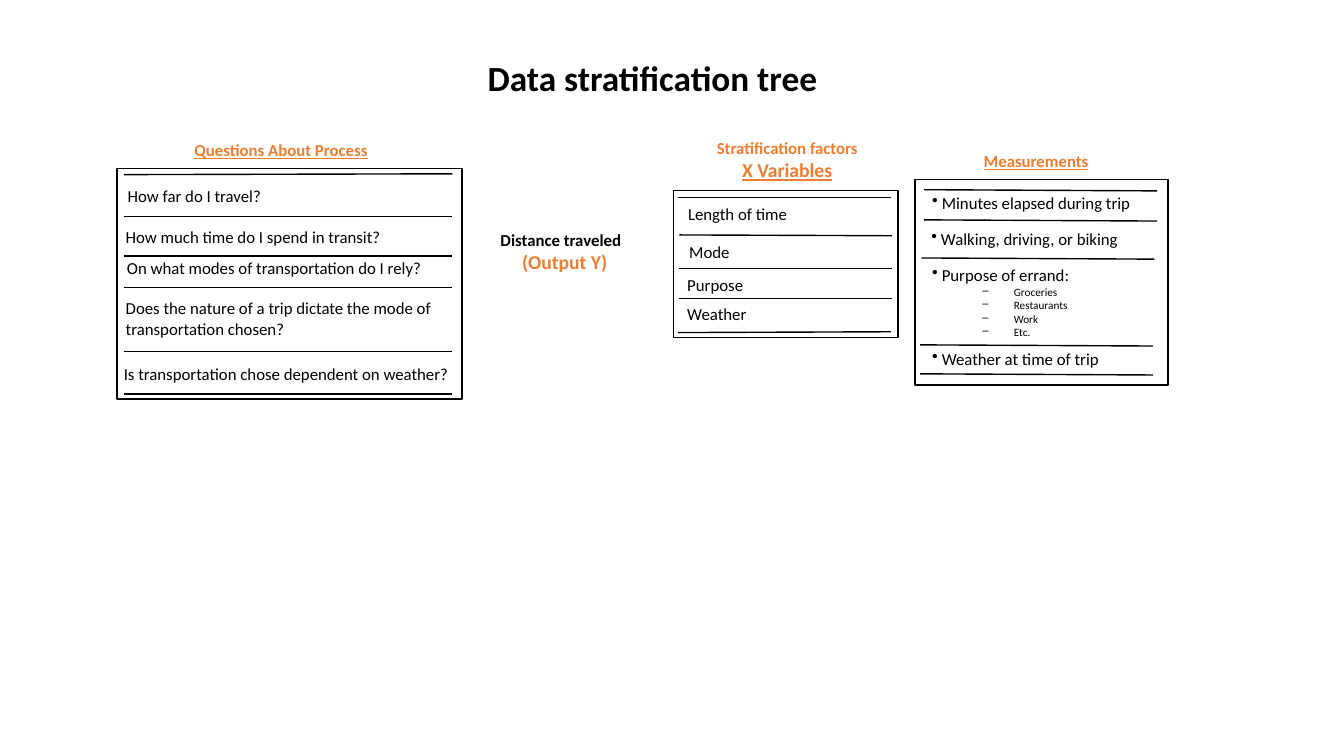
"""Build the data stratification tree slide."""
from dataclasses import dataclass

from lxml.etree import SubElement
from pptx import Presentation
from pptx.dml.color import RGBColor
from pptx.enum.shapes import MSO_CONNECTOR, MSO_SHAPE
from pptx.enum.text import MSO_ANCHOR as Anchor, PP_ALIGN as Align
from pptx.oxml.ns import qn
from pptx.slide import Slide
from pptx.util import Cm, Pt

FONT = "Calibri"
COLORS = {"ink": "000000", "accent": "ED7D31"}
BoxArea = tuple[float, float, float, float]


@dataclass(frozen=True)
class Line:
    text: str
    size: float = 12
    color: str = "ink"
    bold: bool = False
    underline: bool = False
    bullet: str = ""
    level: int = 0


@dataclass(frozen=True)
class Rule:
    left: float
    top: float
    slope: float = 0


@dataclass(frozen=True)
class Panel:
    frame: BoxArea
    rule_width: float
    rules: list[Rule]
    entries: list[tuple[BoxArea, list[Line]]]


def heading(text: str, size: float = 12, underline: bool = True) -> Line:
    return Line(text, size, "accent", bold=True, underline=underline)


def bulleted(text: str) -> Line:
    return Line(" " + text, bullet="•")


def errand(text: str) -> Line:
    return Line(text, size=8, bullet="–", level=1)


PANELS = [
    Panel(
        (2.95, 4.24, 8.69, 5.82), 8.28,
        [Rule(3.12, 4.4, -0.02)]
        + [Rule(3.12, top) for top in (5.46, 6.45, 7.24, 8.86, 9.93)],
        [
            ((2.97, 4.55, 8.92, 0.84), [Line("How far do I travel?")]),
            ((2.92, 5.59, 7.67, 1.42), [Line("How much time do I spend in transit?")]),
            ((2.95, 6.38, 8.2, 1.42), [Line("On what modes of transportation do I rely?")]),
            ((2.92, 7.39, 8.59, 1.42),
             [Line("Does the nature of a trip dictate the mode of transportation chosen?")]),
            ((2.87, 9.04, 9.25, 1.42), [Line("Is transportation chose dependent on weather?")]),
        ],
    ),
    Panel(
        (16.97, 4.8, 5.66, 3.71), 5.36,
        [Rule(17.09, 4.98), Rule(17.12, 5.92, 0.02), Rule(17.12, 6.76),
         Rule(17.12, 7.52), Rule(17.09, 8.38, -0.02)],
        [
            ((17.09, 5, 3.48, 0.84), [Line("Length of time")]),
            ((17.12, 5.97, 1.78, 0.84), [Line("Mode")]),
            ((17.07, 6.81, 2.24, 0.84), [Line("Purpose")]),
            ((17.07, 7.54, 2.31, 0.84), [Line("Weather")]),
        ],
    ),
    Panel(
        (23.06, 4.52, 6.38, 5.18), 5.87,
        [Rule(left, top, 0.03) for left, top in
         ((23.29, 4.78), (23.29, 5.54), (23.22, 6.5), (23.19, 8.69), (23.19, 9.42))],
        [
            ((23.24, 4.72, 6.45, 0.84), [bulleted("Minutes elapsed during trip")]),
            ((23.22, 5.64, 7.65, 0.84), [bulleted("Walking, driving, or biking")]),
            ((23.24, 6.55, 4.67, 2.36),
             [bulleted("Purpose of errand:"),
              *map(errand, ("Groceries", "Restaurants", "Work", "Etc."))]),
            ((23.24, 8.66, 5.56, 0.84), [bulleted("Weather at time of trip")]),
        ],
    ),
]


def add_text(slide: Slide, area: BoxArea, lines: list[Line], *,
             align: Align = Align.LEFT, anchor: Anchor = Anchor.TOP,
             spacing: float = 1.0) -> None:
    frame = slide.shapes.add_textbox(*map(Cm, area)).text_frame
    frame.word_wrap = True
    frame.vertical_anchor = anchor
    for index, line in enumerate(lines):
        para = frame.add_paragraph() if index else frame.paragraphs[0]
        para.alignment = align
        para.line_spacing = spacing
        para.level = line.level
        if line.bullet:
            properties = para._p.get_or_add_pPr()
            properties.set("marL", str(Cm(2.06) * line.level))
            properties.set("indent", str(Cm(-0.79) * line.level))
            SubElement(properties, qn("a:buChar"), char=line.bullet)
        span = para.add_run()
        span.text = line.text
        font = span.font
        font.name, font.size = FONT, Pt(line.size)
        font.bold, font.underline = line.bold, line.underline
        font.color.rgb = RGBColor.from_string(COLORS[line.color])


def add_rule(slide: Slide, rule: Rule, width: float) -> None:
    ends = (rule.left, rule.top, rule.left + width, rule.top + rule.slope)
    connector = slide.shapes.add_connector(MSO_CONNECTOR.STRAIGHT, *map(Cm, ends))
    connector.line.color.rgb = RGBColor.from_string(COLORS["ink"])
    connector.line.width = Pt(1)
    SubElement(connector._element.spPr, qn("a:effectLst"))


def add_panel(slide: Slide, panel: Panel) -> None:
    for area, lines in panel.entries:
        add_text(slide, area, lines)
    for rule in panel.rules:
        add_rule(slide, rule, panel.rule_width)
    box = slide.shapes.add_shape(MSO_SHAPE.RECTANGLE, *map(Cm, panel.frame))
    box.shadow.inherit = False
    box.fill.background()
    box.line.color.rgb = RGBColor.from_string(COLORS["ink"])
    box.line.width = Pt(1)


def main() -> None:
    deck = Presentation()
    deck.slide_width, deck.slide_height = Cm(33.87), Cm(19.05)
    page = deck.slides.add_slide(deck.slide_layouts[6])
    add_text(page, (12.04, 0.86, 9.04, 2.34),
             [Line("Data stratification tree", 25.2, bold=True)],
             anchor=Anchor.MIDDLE, spacing=0.9)
    add_text(page, (4.65, 3.4, 5.66, 0.84), [heading("Questions About Process")])
    add_text(page, (17.48, 3.35, 4.72, 1.37),
             [heading("Stratification factors", underline=False), heading("X Variables", 14)],
             align=Align.CENTER)
    add_text(page, (24.54, 3.68, 3.66, 0.76), [heading("Measurements")])
    add_text(page, (11.71, 5.66, 4.85, 1.27), [Line("Distance traveled", bold=True)],
             align=Align.CENTER)
    add_text(page, (12.29, 6.05, 3.89, 0.97), [heading("(Output Y)", 14, underline=False)],
             align=Align.CENTER, spacing=1.2)
    for panel in PANELS:
        add_panel(page, panel)
    deck.save("out.pptx")


if __name__ == "__main__":
    main()
